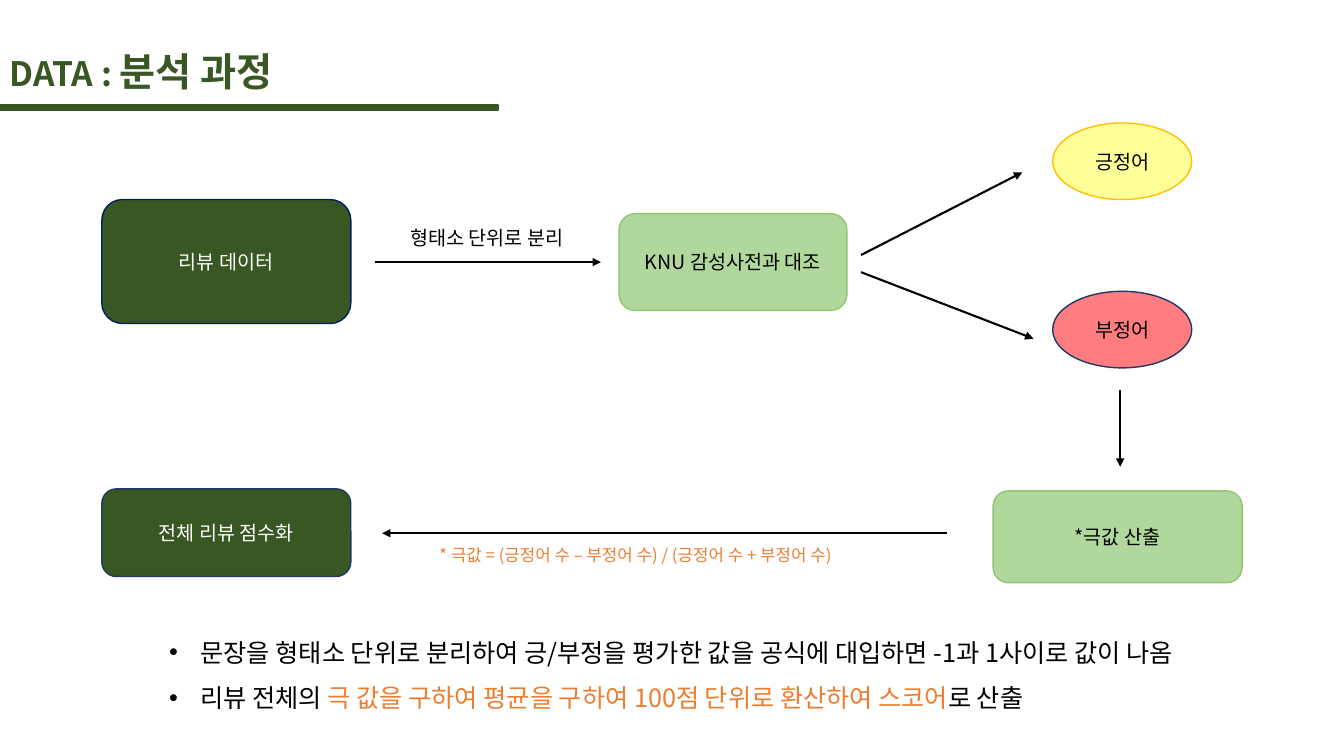
from pptx import Presentation
from pptx.dml.color import RGBColor
from pptx.enum.shapes import MSO_CONNECTOR, MSO_SHAPE
from pptx.enum.text import MSO_ANCHOR, MSO_AUTO_SIZE, PP_ALIGN
from pptx.oxml.ns import qn
from pptx.util import Emu, Pt
from lxml import etree

ROUNDED = MSO_SHAPE.ROUNDED_RECTANGLE
ELLIPSE = MSO_SHAPE.OVAL
RECTANGLE = MSO_SHAPE.RECTANGLE
STRAIGHT = MSO_CONNECTOR.STRAIGHT
MIDDLE = MSO_ANCHOR.MIDDLE
CENTER = PP_ALIGN.CENTER
GROW = MSO_AUTO_SIZE.SHAPE_TO_FIT_TEXT

FONT = "Noto Sans CJK KR"
EMU_PER_PX = 9144  # 100 px to the inch
COLORS = {
    "black": "000000",
    "white": "FFFFFF",
    "forest": "385723",
    "leaf": "B1D89C",
    "leaf_edge": "8EC76F",
    "navy": "002060",
    "slate": "203864",
    "yellow": "FFFF99",
    "gold": "FFC000",
    "red": "FF7C80",
    "orange": "ED7D31",
}


def px(length):
    return Emu(length * EMU_PER_PX)


def color(name):
    return RGBColor.from_string(COLORS[name])


def add_runs(paragraph, runs, bold=False):
    """Write (text, size, color name) runs into a paragraph."""
    for text, size, color_name in runs:
        run = paragraph.add_run()
        run.text = text
        run.font.size = Pt(size)
        run.font.bold = bold
        run.font.name = FONT
        run.font.color.rgb = color(color_name)
        east_asian = etree.SubElement(run.font._element, qn("a:ea"))
        east_asian.set("typeface", FONT)


def add_box(slide, kind, box, fill, edge, text="", text_color="black"):
    shape = slide.shapes.add_shape(kind, *map(px, box))
    shape.shadow.inherit = False
    shape.fill.solid()
    shape.fill.fore_color.rgb = color(fill)
    shape.line.color.rgb = color(edge)
    shape.line.width = Pt(1)
    if text:
        text_frame = shape.text_frame
        text_frame.word_wrap = True
        text_frame.vertical_anchor = MIDDLE
        paragraph = text_frame.paragraphs[0]
        paragraph.alignment = CENTER
        add_runs(paragraph, [(text, 14, text_color)])


def add_text(slide, box, runs, bold=False, wrap=True):
    text_box = slide.shapes.add_textbox(*map(px, box))
    text_frame = text_box.text_frame
    text_frame.word_wrap = wrap
    text_frame.auto_size = GROW
    add_runs(text_frame.paragraphs[0], runs, bold)
    return text_frame


def add_bullets(slide, box, items):
    text_frame = add_text(slide, box, items[0])
    for runs in items[1:]:
        add_runs(text_frame.add_paragraph(), runs)
    for paragraph in text_frame.paragraphs:
        paragraph.line_spacing = 1.5
        properties = paragraph._p.get_or_add_pPr()
        properties.set("marL", str(px(31)))
        properties.set("indent", str(-px(31)))
        bullet_font = etree.SubElement(properties, qn("a:buFont"))
        bullet_font.set("typeface", "Arial")
        etree.SubElement(properties, qn("a:buChar")).set("char", "•")


def add_arrow(slide, start, end):
    arrow = slide.shapes.add_connector(STRAIGHT, *map(px, start + end))
    arrow.line.color.rgb = color("black")
    arrow.line.width = Pt(1.5)
    line = arrow.line._get_or_add_ln()
    etree.SubElement(line, qn("a:tailEnd")).set("type", "triangle")
    etree.SubElement(arrow._element.spPr, qn("a:effectLst"))


def main():
    presentation = Presentation()
    presentation.slide_width = px(1333)
    presentation.slide_height = px(750)
    slide = presentation.slides.add_slide(presentation.slide_layouts[6])

    # Title and its rule
    add_box(slide, RECTANGLE, (0, 104, 494, 5), "forest", "forest")
    add_text(slide, (0, 42, 310, 57),
             [("DATA : ", 24, "forest"), ("분석 과정", 28, "forest")],
             bold=True, wrap=False)

    # Steps of the analysis
    add_box(slide, ROUNDED, (101, 198, 247, 123), "forest", "navy",
            "리뷰 데이터", "white")
    add_box(slide, ROUNDED, (614, 212, 226, 96), "leaf", "leaf_edge",
            "KNU 감성사전과 대조")
    add_box(slide, ELLIPSE, (1044, 122, 138, 76), "yellow", "gold", "긍정어")
    add_box(slide, ELLIPSE, (1044, 289, 138, 76), "red", "slate", "부정어")
    add_box(slide, ROUNDED, (985, 487, 247, 91), "leaf", "leaf_edge",
            "*극값 산출")
    add_box(slide, ROUNDED, (101, 485, 247, 87), "forest", "slate",
            "전체 리뷰 점수화", "white")

    # Arrows between the steps
    for start, end in [
        ((372, 260), (596, 260)),
        ((854, 253), (1014, 171)),
        ((854, 270), (1025, 336)),
        ((1111, 387), (1111, 463)),
        ((939, 529), (379, 529)),
    ]:
        add_arrow(slide, start, end)

    # Arrow labels
    add_text(slide, (397, 219, 226, 34),
             [("형태소 단위로 분리", 14, "black")])
    add_text(slide, (426, 536, 474, 30),
             [("* 극값 = (긍정어 수 – 부정어 수) / (긍정어 수 + 부정어 수)",
               12, "orange")])

    # Explanation
    add_bullets(slide, (158, 612, 1017, 96), [
        [("문장을 형태소 단위로 분리하여 긍/부정을 평가한 값을 공식에 "
          "대입하면 -1과 1사이로 값이 나옴", 18, "black")],
        [("리뷰 전체의 ", 18, "black"),
         ("극 값을 구하여 평균을 구하여 100점 단위로 환산하여 스코어",
          18, "orange"),
         ("로 산출", 18, "black")],
    ])

    presentation.save("out.pptx")


if __name__ == "__main__":
    main()
